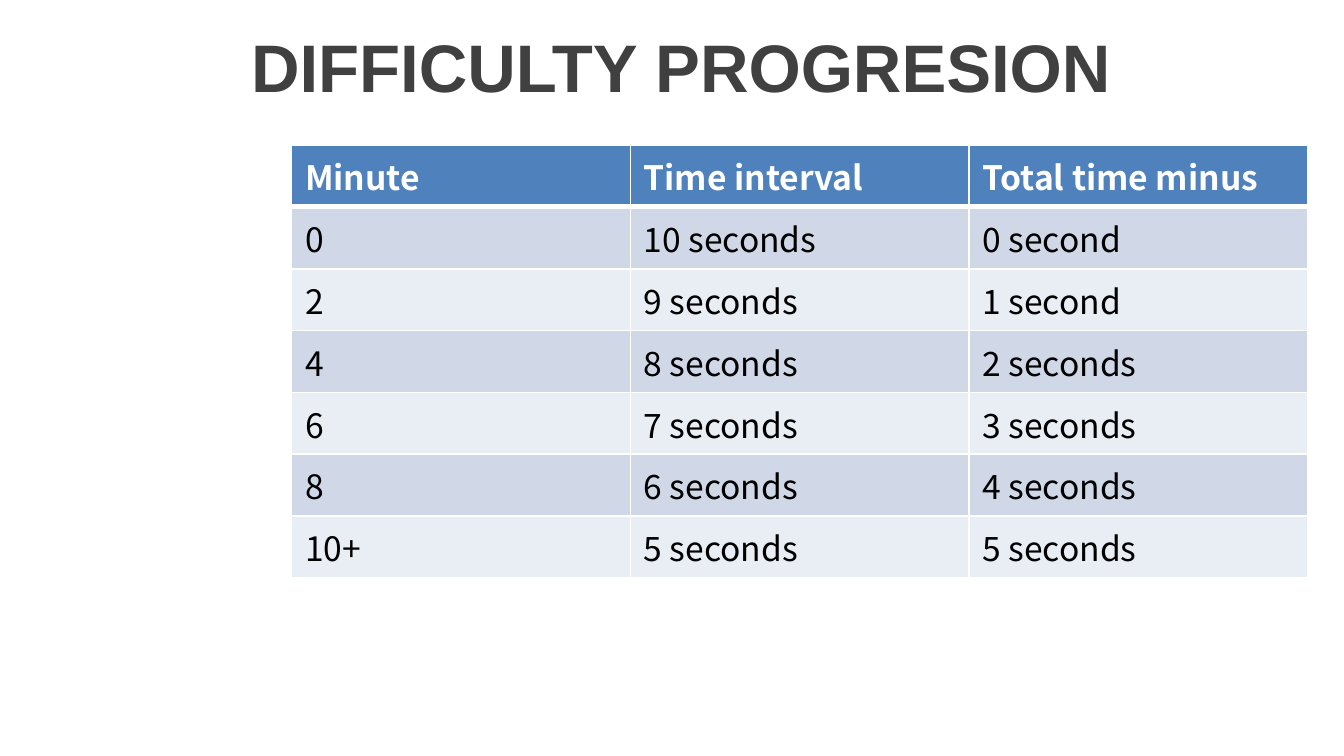
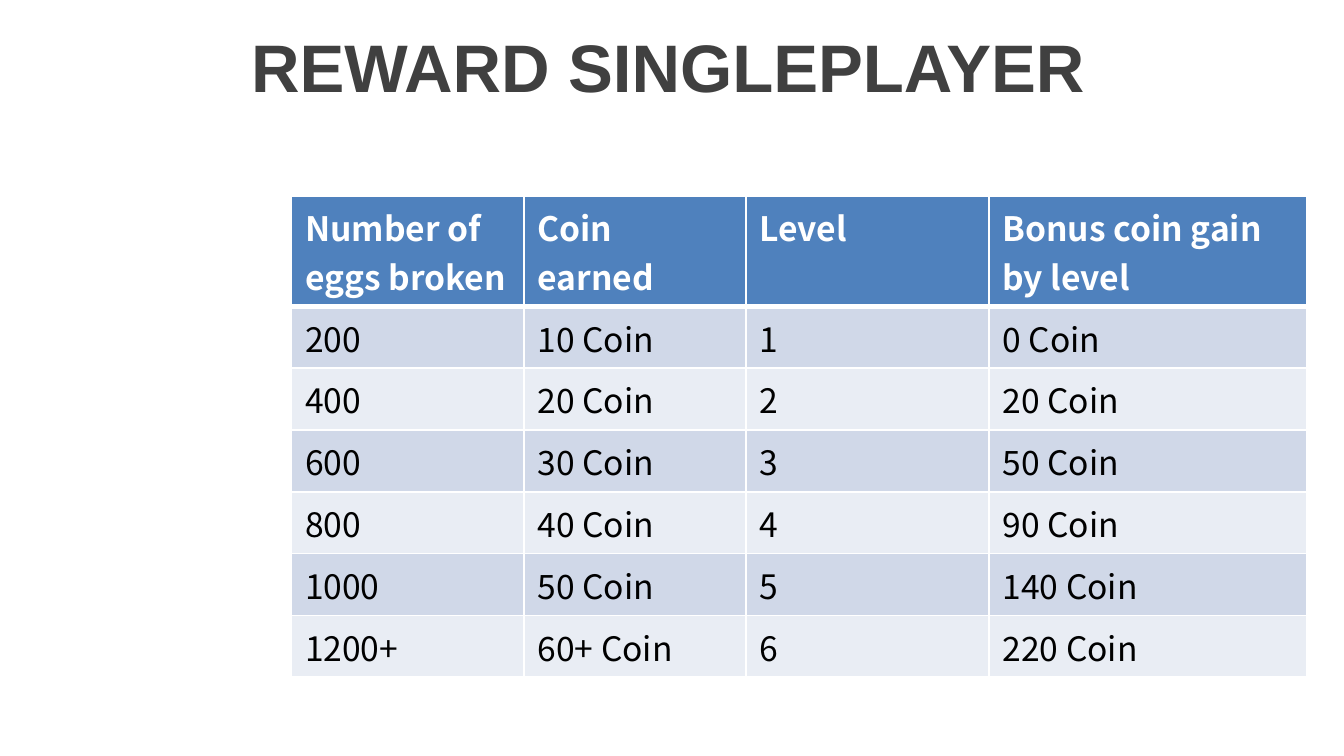
from dataclasses import dataclass

from lxml import etree
from pptx import Presentation
from pptx.dml.color import RGBColor
from pptx.enum.text import MSO_ANCHOR as Anchor
from pptx.oxml.ns import qn
from pptx.util import Inches, Pt


@dataclass(frozen=True)
class Theme:
    title_font: str = "Arial"
    table_font: str = "Noto Sans CJK KR"
    title_size: int = 36
    table_size: int = 18
    title_color: str = "404040"
    header_fill: str = "4F81BD"
    header_text: str = "FFFFFF"
    body_text: str = "000000"
    bands: tuple = ("D0D8E8", "E9EDF4")
    rule: str = "FFFFFF"
    thin: int = 1
    thick: int = 3


class Deck:
    """Holds the style and the current slide."""

    def __init__(self, theme):
        self.theme = theme
        self.prs = Presentation()
        self.prs.slide_width = Inches(10)
        self.prs.slide_height = Inches(10) * 9 // 16
        self.slide = None

    def new_slide(self, heading):
        self.slide = self.prs.slides.add_slide(self.prs.slide_layouts[6])
        self.title(heading)

    def style(self, paragraph, font, size, color, bold):
        paragraph.font.name = font
        paragraph.font.size = Pt(size)
        paragraph.font.color.rgb = RGBColor.from_string(color)
        paragraph.font.bold = bold

    def title(self, heading):
        box = self.slide.shapes.add_textbox(
            Inches(1.77), Inches(0), Inches(8.23), Inches(0.97))
        frame = box.text_frame
        frame.word_wrap = True
        frame.vertical_anchor = Anchor.MIDDLE
        frame.text = heading
        t = self.theme
        self.style(frame.paragraphs[0], t.title_font, t.title_size,
                   t.title_color, True)

    def table(self, top, widths, rows, header_height=0.46, row_height=0.46):
        heights = [header_height] + [row_height] * (len(rows) - 1)
        table = self.slide.shapes.add_table(
            len(rows), len(widths), Inches(2.17), Inches(top),
            Inches(sum(widths)), Inches(sum(heights))).table
        for column, width in zip(table.columns, widths):
            column.width = Inches(width)
        for r, (values, height) in enumerate(zip(rows, heights)):
            table.rows[r].height = Inches(height)
            for c, value in enumerate(values):
                self.cell(table.cell(r, c), value, r)

    def cell(self, cell, value, row):
        t = self.theme
        header = row == 0
        self.borders(cell, top=t.thick if row == 1 else t.thin,
                     bottom=t.thick if header else t.thin)
        cell.fill.solid()
        fill = t.header_fill if header else t.bands[(row - 1) % 2]
        cell.fill.fore_color.rgb = RGBColor.from_string(fill)
        cell.text = value
        for paragraph in cell.text_frame.paragraphs:
            self.style(paragraph, t.table_font, t.table_size,
                       t.header_text if header else t.body_text, header)

    def borders(self, cell, top, bottom):
        properties = cell._tc.get_or_add_tcPr()
        thin = self.theme.thin
        for side, width in (("L", thin), ("R", thin), ("T", top), ("B", bottom)):
            line = etree.SubElement(properties, qn(f"a:ln{side}"), w=str(Pt(width)))
            solid = etree.SubElement(line, qn("a:solidFill"))
            etree.SubElement(solid, qn("a:srgbClr"), val=self.theme.rule)


def main():
    deck = Deck(Theme())

    # Difficulty: the interval shrinks by one second every two minutes
    deck.new_slide("DIFFICULTY PROGRESION")
    deck.table(1.08, [2.52] * 3, [
        ("Minute", "Time interval", "Total time minus"),
        ("0", "10 seconds", "0 second"),
        ("2", "9 seconds", "1 second"),
        ("4", "8 seconds", "2 seconds"),
        ("6", "7 seconds", "3 seconds"),
        ("8", "6 seconds", "4 seconds"),
        ("10+", "5 seconds", "5 seconds"),
    ])

    # Rewards: coins for broken eggs and bonus by level
    deck.new_slide("REWARD SINGLEPLAYER")
    deck.table(1.46, [1.73, 1.65, 1.81, 2.36], [
        ("Number of eggs broken", "Coin earned", "Level",
         "Bonus coin gain\nby level"),
        ("200", "10 Coin", "1", "0 Coin"),
        ("400", "20 Coin", "2", "20 Coin"),
        ("600", "30 Coin", "3", "50 Coin"),
        ("800", "40 Coin", "4", "90 Coin"),
        ("1000", "50 Coin", "5", "140 Coin"),
        ("1200+", "60+ Coin", "6", "220 Coin"),
    ], header_height=0.82)

    deck.prs.save("out.pptx")


if __name__ == "__main__":
    main()
